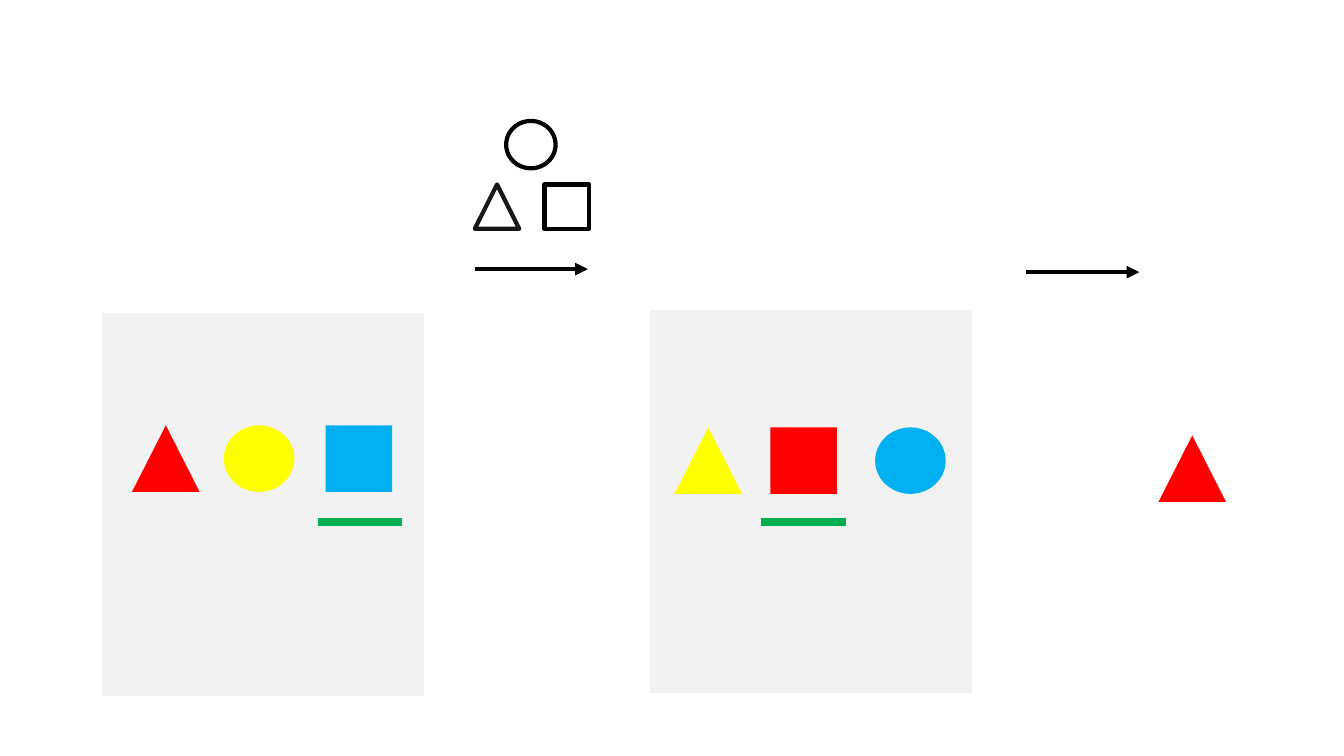
from lxml import etree
from pptx import Presentation
from pptx.dml.color import RGBColor
from pptx.enum.shapes import MSO_CONNECTOR, MSO_SHAPE
from pptx.oxml.ns import qn
from pptx.util import Inches, Pt

BLACK = RGBColor(0x00, 0x00, 0x00)
CHARCOAL = RGBColor(0x18, 0x17, 0x17)
GREY = RGBColor(0xF2, 0xF2, 0xF2)
RED = RGBColor(0xFF, 0x00, 0x00)
YELLOW = RGBColor(0xFF, 0xFF, 0x00)
BLUE = RGBColor(0x00, 0xB0, 0xF0)
GREEN = RGBColor(0x00, 0xB0, 0x50)

TRIANGLE = MSO_SHAPE.ISOSCELES_TRIANGLE
CIRCLE = MSO_SHAPE.OVAL
SQUARE = MSO_SHAPE.RECTANGLE
SOLID_WIDTHS = {TRIANGLE: 0.67, CIRCLE: 0.7, SQUARE: 0.66}
SOLID_HEIGHT = 0.66

deck = Presentation()
deck.slide_width, deck.slide_height = Inches(13.33), Inches(7.5)
page = deck.slides.add_slide(deck.slide_layouts[6])


def add_figure(kind, left, top, width, height, fill=None, line=None, weight=1):
    figure = page.shapes.add_shape(
        kind, Inches(left), Inches(top), Inches(width), Inches(height))
    figure.shadow.inherit = False
    if fill is None:
        figure.fill.background()
    else:
        figure.fill.solid()
        figure.fill.fore_color.rgb = fill
    if line is None:
        figure.line.fill.background()
    else:
        figure.line.color.rgb = line
        figure.line.width = Pt(weight)


def add_rule(left, right, y, color, weight, arrow=False):
    """Draw a horizontal line, with an arrowhead at its right end if asked."""
    rule = page.shapes.add_connector(
        MSO_CONNECTOR.STRAIGHT, Inches(left), Inches(y), Inches(right), Inches(y))
    rule.line.color.rgb = color
    rule.line.width = Pt(weight)
    if arrow:
        etree.SubElement(rule.line._get_or_add_ln(), qn("a:tailEnd"), type="triangle")
    etree.SubElement(rule._element.spPr, qn("a:effectLst"))


# Grey panels, each with a row of solid figures
panels = [
    (1.02, 3.11, 4.22,
     [(TRIANGLE, 1.31, RED), (CIRCLE, 2.22, YELLOW), (SQUARE, 3.23, BLUE)]),
    (6.45, 3.08, 4.24,
     [(TRIANGLE, 6.69, YELLOW), (SQUARE, 7.64, RED), (CIRCLE, 8.68, BLUE)]),
]
for panel_left, panel_top, row_top, figures in panels:
    add_figure(SQUARE, panel_left, panel_top, 3.18, 3.79, fill=GREY, line=GREY)
    for kind, left, color in figures:
        add_figure(kind, left, row_top, SOLID_WIDTHS[kind], SOLID_HEIGHT, fill=color)

# Resulting figure
add_figure(TRIANGLE, 11.49, 4.32, SOLID_WIDTHS[TRIANGLE], SOLID_HEIGHT, fill=RED)

# Outlined figures above the first arrow
add_figure(TRIANGLE, 4.71, 1.83, 0.44, 0.44, line=CHARCOAL, weight=3)
add_figure(CIRCLE, 5.02, 1.2, 0.49, 0.47, line=BLACK, weight=3)
add_figure(SQUARE, 5.4, 1.83, 0.44, 0.44, line=BLACK, weight=3)

# Arrows between the steps
for left, y in [(4.71, 2.67), (10.18, 2.7)]:
    add_rule(left, left + 1.12, y, BLACK, 3, arrow=True)

# Underlines marking the selected figures
for left in (3.15, 7.55):
    add_rule(left, left + 0.84, 5.18, GREEN, 6)

deck.save("out.pptx")
